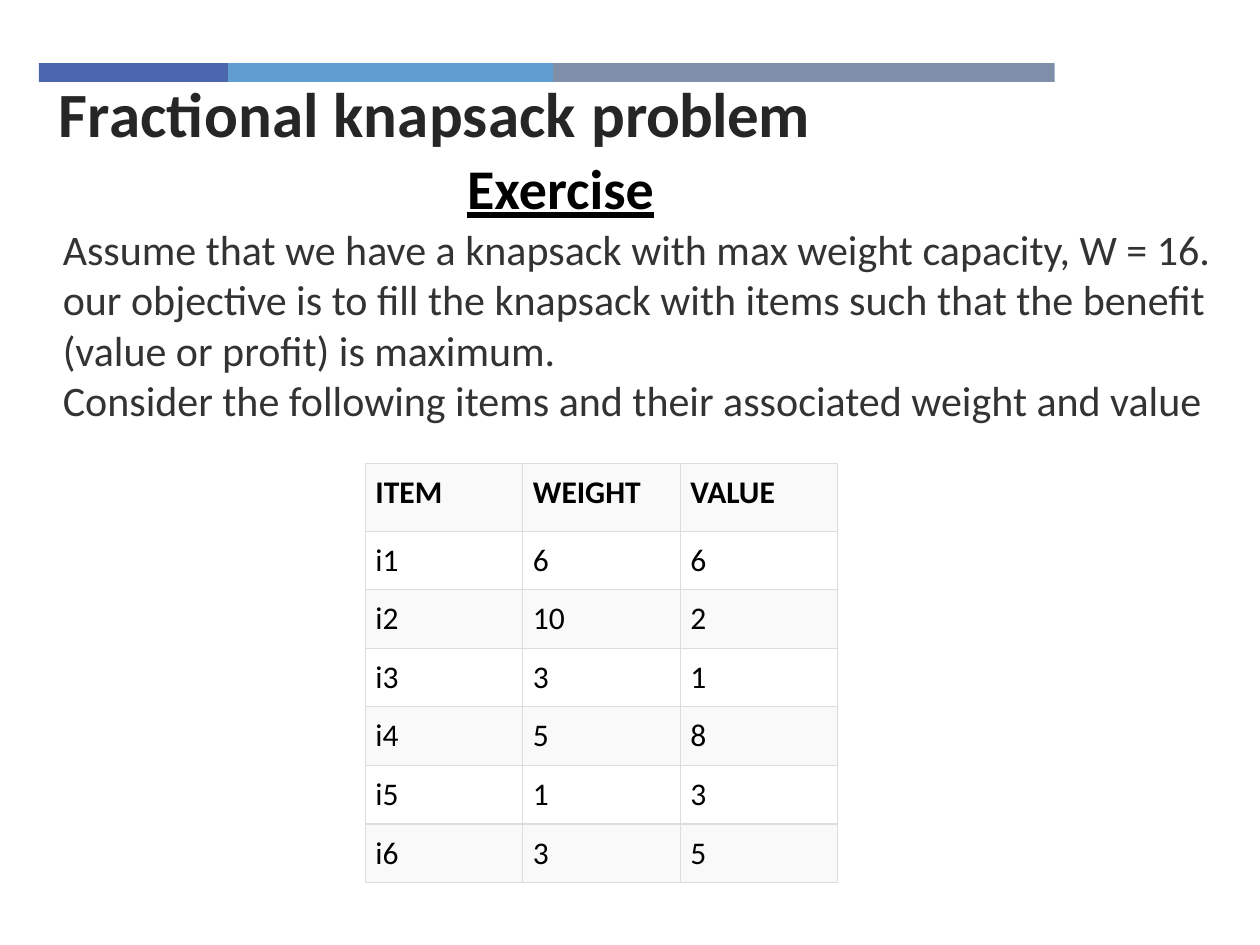
from lxml import etree
from pptx import Presentation
from pptx.dml.color import RGBColor
from pptx.enum import shapes, text
from pptx.oxml import ns
from pptx.util import Pt

BAR_COLOURS = (RGBColor(0x4A, 0x66, 0xAC), RGBColor(0x62, 0x9D, 0xD1), RGBColor(0x7F, 0x8F, 0xA9))
BLACK = RGBColor(0, 0, 0)
TITLE = RGBColor(0x26, 0x26, 0x26)
BODY = RGBColor(0x33, 0x33, 0x33)
BANDS = (RGBColor(0xF9, 0xF9, 0xF9), RGBColor(0xFF, 0xFF, 0xFF))
BORDER = RGBColor(0xDD, 0xDD, 0xDD)


def style(font, colour, **fmt):
    font.color.rgb = colour
    for key, value in {"name": "Calibri", **fmt}.items():
        setattr(font, key, value)


def text_box(x, y, w, h, wrap=True):
    tf = s.shapes.add_textbox(Pt(x), Pt(y), Pt(w), Pt(h)).text_frame
    tf.word_wrap = wrap
    return tf


prs = Presentation()
prs.slide_width, prs.slide_height = Pt(720), Pt(540)
s = prs.slides.add_slide(prs.slide_layouts[6])

# Three-part colour bar
x = 22.3
for w, colour in zip((108, 185.8, 286.6), BAR_COLOURS):
    sp = s.shapes.add_shape(shapes.MSO_SHAPE.RECTANGLE, Pt(x), Pt(36), Pt(w), Pt(10.8))
    sp.shadow.inherit = False
    sp.fill.solid()
    sp.fill.fore_color.rgb = colour
    sp.line.fill.background()
    x += w

# Exercise heading
tf = text_box(259.9, 84.2, 122.4, 46.1, wrap=False)
tf.auto_size = text.MSO_AUTO_SIZE.SHAPE_TO_FIT_TEXT
r = tf.paragraphs[0].add_run()
r.text = "Exercise"
style(r.font, BLACK, size=Pt(32), bold=True, underline=True)

# Problem statement
p = text_box(28.8, 124.2, 679.7, 125).paragraphs[0]
p.text = (
    "Assume that we have a knapsack with max weight capacity, W = 16.\n"
    "our objective is to fill the knapsack with items such that the benefit "
    "(value or profit) is maximum.\n"
    "Consider the following items and their associated weight and value"
)
for r in p.runs:
    style(r.font, BODY, size=Pt(24))

# Item table
rows = [
    ("ITEM", "WEIGHT", "VALUE"),
    ("i1", "6", "6"),
    ("i2", "10", "2"),
    ("i3", "3", "1"),
    ("i4", "5", "8"),
    ("i5", "1", "3"),
    ("i6", "3", "5"),
]
table = s.shapes.add_table(len(rows), 3, Pt(208.8), Pt(264.6), Pt(270), Pt(240)).table
for col in table.columns:
    col.width = Pt(90)
for i, values in enumerate(rows):
    table.rows[i].height = Pt(33.5 if i else 38.9)
    for j, value in enumerate(values):
        cell = table.cell(i, j)
        for side in ("left", "top", "right", "bottom"):
            setattr(cell, "margin_" + side, Pt(5.76))
        p = cell.text_frame.paragraphs[0]
        r = p.add_run()
        r.text = value
        style(r.font, BLACK, size=Pt(18), bold=i == 0)
        # Borders come before the fill in the cell properties
        tcPr = cell._tc.get_or_add_tcPr()
        for tag in ("a:lnL", "a:lnR", "a:lnT", "a:lnB"):
            ln = etree.SubElement(tcPr, ns.qn(tag), w=str(Pt(0.75)))
            fill = etree.SubElement(ln, ns.qn("a:solidFill"))
            etree.SubElement(fill, ns.qn("a:srgbClr"), val=str(BORDER))
        cell.fill.solid()
        cell.fill.fore_color.rgb = BANDS[i % 2]

# Title, with slight letter spacing in hundredths of a point
p = text_box(26.6, 39.3, 515.5, 61.2).paragraphs[0]
for words, spacing in (("Fractional knapsack ", 10), ("problem", -30)):
    r = p.add_run()
    r.text = words
    style(r.font, TITLE, size=Pt(36), bold=True)
    r._r.get_or_add_rPr().set("spc", str(spacing))

prs.save("out.pptx")
